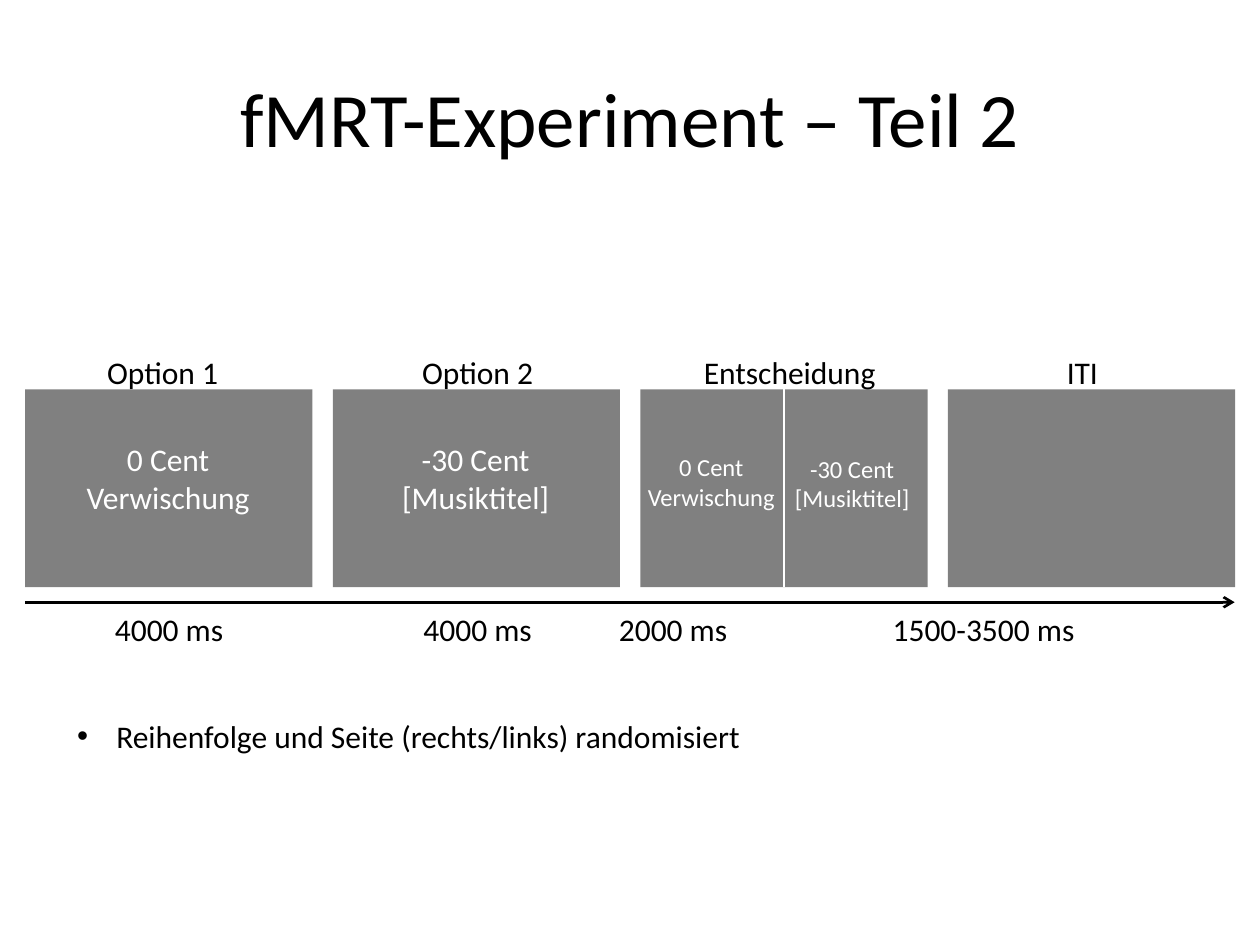
from dataclasses import dataclass

from lxml.etree import SubElement
from pptx import Presentation
from pptx.dml.color import RGBColor
from pptx.enum.shapes import MSO_CONNECTOR, MSO_SHAPE
from pptx.enum.text import MSO_ANCHOR, MSO_AUTO_SIZE, PP_ALIGN
from pptx.oxml.ns import qn
from pptx.shapes.autoshape import Shape
from pptx.shapes.connector import Connector
from pptx.slide import Slide
from pptx.text.text import TextFrame
from pptx.util import Cm, Pt

FONT = "Calibri"
BLACK = "000000"
WHITE = "FFFFFF"
GRAY = "808080"
MARGIN = 0.51
PANEL_TOP = 7.85
PANEL_WIDTH = 5.79
PANEL_HEIGHT = 3.99
PANEL_PITCH = 6.2
PANEL_COUNT = 4
INSET = 0.25
CHOICE_WIDTH = 4.19


@dataclass
class Choice:
    center: float
    top: float
    height: float
    size: int
    lines: tuple[str, ...]


@dataclass
class LabelRow:
    left: float
    top: float
    width: float
    labels: dict[str, float]


CHOICES = [
    Choice(3.39, 8.74, 1.8, 18, ("0 Cent", "Verwischung")),
    Choice(9.59, 8.74, 1.8, 18, ("-30 Cent", "[Musiktitel]")),
    Choice(14.34, 8.99, 1.45, 14, ("0 Cent", "Verwischung")),
    Choice(17.18, 9.02, 1.45, 14, ("-30 Cent", "[Musiktitel]")),
]
PHASES = LabelRow(
    1.91, 6.99, 23.19,
    {"Option 1": 3.27, "Option 2": 9.63, "Entscheidung": 15.92, "ITI": 21.82},
)
DURATIONS = ["4000 ms", "4000 ms", "2000 ms", "1500-3500 ms"]
DURATION_CENTERS = [3.41, 9.63, 13.57, 19.83]


def color(value: str) -> RGBColor:
    return RGBColor.from_string(value)


def set_values(target: object, values: dict[str, object]) -> None:
    for name, value in values.items():
        setattr(target, name, value)


def place(shape: Shape, left: float, top: float, width: float, height: float) -> None:
    set_values(shape, {
        "left": Cm(left), "top": Cm(top), "width": Cm(width), "height": Cm(height),
    })


def format_text(frame: TextFrame, size: int, text_color: str, alignment: PP_ALIGN) -> None:
    set_values(frame, {"word_wrap": True, "auto_size": MSO_AUTO_SIZE.NONE})
    for paragraph in frame.paragraphs:
        set_values(paragraph, {"alignment": alignment, "space_before": Pt(0)})
        set_values(paragraph.font, {"name": FONT, "size": Pt(size)})
        paragraph.font.color.rgb = color(text_color)


def add_panel(slide: Slide, left: float) -> None:
    panel = slide.shapes.add_shape(
        MSO_SHAPE.RECTANGLE, Cm(left), Cm(PANEL_TOP), Cm(PANEL_WIDTH), Cm(PANEL_HEIGHT)
    )
    panel.shadow.inherit = False
    panel.fill.solid()
    panel.fill.fore_color.rgb = color(GRAY)
    panel.line.fill.background()


def add_line(slide: Slide, start: tuple[float, float], end: tuple[float, float],
             line_color: str) -> Connector:
    points = [Cm(value) for value in (*start, *end)]
    connector = slide.shapes.add_connector(MSO_CONNECTOR.STRAIGHT, *points)
    connector.line.color.rgb = color(line_color)
    connector.line.width = Pt(1.5)
    SubElement(connector._element.spPr, qn("a:effectLst"))
    return connector


def add_choice(slide: Slide, choice: Choice) -> None:
    box = slide.shapes.add_textbox(
        Cm(choice.center - CHOICE_WIDTH / 2), Cm(choice.top),
        Cm(CHOICE_WIDTH), Cm(choice.height),
    )
    box.text_frame.text = "\n".join(choice.lines)
    format_text(box.text_frame, choice.size, WHITE, PP_ALIGN.CENTER)


def add_label_row(slide: Slide, left: float, top: float, width: float,
                  labels: list[str], centers: list[float]) -> None:
    box = slide.shapes.add_textbox(Cm(left), Cm(top), Cm(width), Cm(1.03))
    box.text_frame.text = "".join(f"\t{label}" for label in labels)
    properties = box.text_frame.paragraphs[0]._p.get_or_add_pPr()
    tabs = SubElement(properties, qn("a:tabLst"))
    for center in centers:
        SubElement(tabs, qn("a:tab"), pos=str(Cm(center - left - INSET)), algn="ctr")
    format_text(box.text_frame, 18, BLACK, PP_ALIGN.LEFT)


def fill_placeholders(slide: Slide) -> None:
    title = slide.shapes.title
    place(title, 1.27, 0.76, 22.86, 3.18)
    title.text_frame.text = "fMRT-Experiment – Teil 2"
    format_text(title.text_frame, 44, BLACK, PP_ALIGN.CENTER)
    title.text_frame.vertical_anchor = MSO_ANCHOR.MIDDLE

    body = slide.placeholders[1]
    place(body, 1.3, 14.33, 20.09, 1.03)
    body.text_frame.text = "Reihenfolge und Seite (rechts/links) randomisiert"
    properties = body.text_frame.paragraphs[0]._p.get_or_add_pPr()
    properties.set("marL", str(Cm(0.79)))
    properties.set("indent", str(Cm(-0.79)))
    SubElement(properties, qn("a:buFont"), typeface="Arial")
    SubElement(properties, qn("a:buChar"), char="•")
    format_text(body.text_frame, 18, BLACK, PP_ALIGN.LEFT)


def main() -> None:
    presentation = Presentation()
    set_values(presentation, {"slide_width": Cm(25.4), "slide_height": Cm(19.05)})
    slide = presentation.slides.add_slide(presentation.slide_layouts[1])
    fill_placeholders(slide)

    for index in range(PANEL_COUNT):
        add_panel(slide, MARGIN + index * PANEL_PITCH)
    timeline = add_line(slide, (MARGIN, 12.14), (24.89, 12.14), BLACK)
    SubElement(timeline.line._get_or_add_ln(), qn("a:tailEnd"), type="arrow")
    divider = MARGIN + 2 * PANEL_PITCH + PANEL_WIDTH / 2
    add_line(slide, (divider, PANEL_TOP), (divider, PANEL_TOP + PANEL_HEIGHT), WHITE)

    add_label_row(slide, PHASES.left, PHASES.top, PHASES.width,
                  list(PHASES.labels), list(PHASES.labels.values()))
    add_label_row(slide, MARGIN, 12.17, 24.89, DURATIONS, DURATION_CENTERS)
    for choice in CHOICES:
        add_choice(slide, choice)
    presentation.save("out.pptx")


if __name__ == "__main__":
    main()
